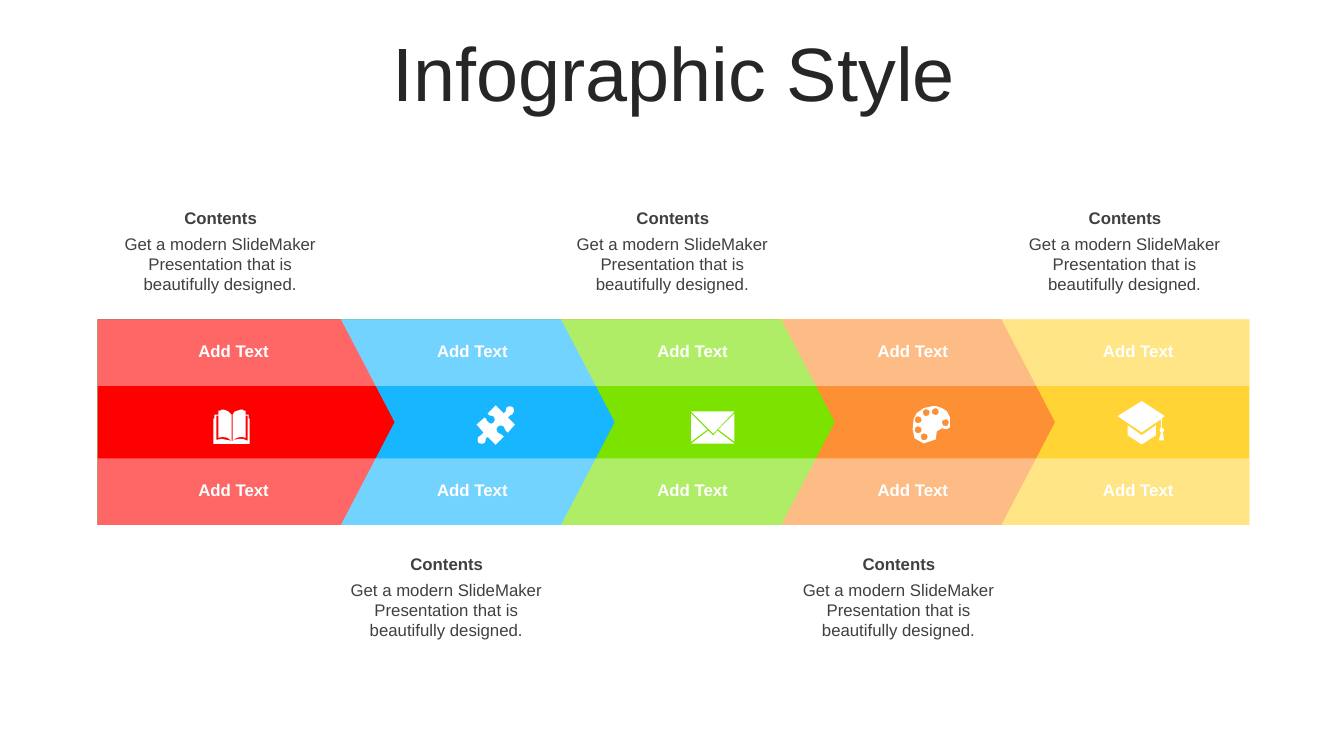
import math

from pptx import Presentation
from pptx.dml.color import RGBColor
from pptx.enum.shapes import MSO_SHAPE
from pptx.enum.text import MSO_ANCHOR, MSO_AUTO_SIZE, PP_ALIGN
from pptx.oxml.xmlchemy import OxmlElement
from pptx.util import Pt

PENTAGON, RECT = MSO_SHAPE.PENTAGON, MSO_SHAPE.RECTANGLE
CENTER, MIDDLE = PP_ALIGN.CENTER, MSO_ANCHOR.MIDDLE
GROW, NO_FIT = MSO_AUTO_SIZE.SHAPE_TO_FIT_TEXT, MSO_AUTO_SIZE.NONE

FONT = "Arial"
WHITE = RGBColor(0xFF, 0xFF, 0xFF)
TITLE_INK = RGBColor(0x26, 0x26, 0x26)
TEXT_INK = RGBColor(0x40, 0x40, 0x40)
RED = RGBColor(0xFF, 0x00, 0x00)
BLUE = RGBColor(0x17, 0xB6, 0xFF)
GREEN = RGBColor(0x7C, 0xE2, 0x00)
ORANGE = RGBColor(0xFD, 0x90, 0x34)
YELLOW = RGBColor(0xFF, 0xD4, 0x34)

CAPTION = "Get a modern SlideMaker Presentation that is beautifully designed."
ICON_UNIT = Pt(0.72)


def circle(cx, cy, radius=3.5, steps=8):
    angles = [2 * math.pi * i / steps for i in range(steps)]
    return [(cx + radius * math.cos(a), cy + radius * math.sin(a)) for a in angles]


# Icon outlines in ICON_UNIT: pairs are corners, sextuples are Bezier curves
BOOK = [[
    (18, 31), (19, 31), (25, 29, 28, 28, 34, 31), (34, 6), (32, 6), (32, 28),
    (28, 26, 23, 28, 19, 31), (19, 5), (21, 2, 24, 0, 27, 0), (29, 0, 30, 1, 32, 1),
    (32, 5), (35, 5), (35, 9), (36, 9), (36, 34), (0, 34), (0, 9), (1, 9), (1, 5),
    (5, 5), (5, 1), (7, 1, 8, 0, 10, 0), (13, 0, 15, 2, 18, 5), (18, 31),
    (14, 28, 9, 26, 5, 28), (5, 6), (3, 6), (3, 30), (9, 28, 12, 30, 18, 31),
]]
PUZZLE = [[
    (36, 2), (38, 3, 38, 6, 36, 8), (35, 10, 33, 9, 31, 12), (38, 19), (31, 27),
    (28, 25, 29, 23, 27, 21), (25, 20, 22, 20, 21, 21), (20, 23, 19, 25, 21, 27),
    (24, 29, 25, 28, 27, 31), (19, 39), (11, 31), (8, 33, 10, 34, 8, 37),
    (6, 38, 3, 38, 2, 37), (0, 35, 0, 33, 2, 31), (3, 29, 6, 30, 7, 27), (0, 19),
    (8, 12), (11, 13, 9, 16, 12, 17), (13, 19, 16, 19, 17, 17),
    (18, 16, 19, 13, 17, 11), (15, 9, 14, 11, 11, 8), (19, 0), (27, 8),
    (30, 6, 28, 5, 30, 2), (32, 0, 35, 1, 36, 2),
]]
ENVELOPE = [
    [(26, 19), (43, 32), (0, 32), (17, 19), (21.5, 24)],
    [(43, 2), (43, 30.5), (27, 18)],
    [(0, 2), (16, 18), (0, 30.5)],
    [(0, 0), (43, 0), (21.5, 22)],
]
PALETTE = [
    [(21, 0), (24, 0), (30, 0, 36, 5, 38, 11), (41, 25, 34, 24, 30, 22),
     (19, 19, 33, 38, 12, 37), (0, 36, -1, 22, 2, 13), (4, 6, 10, 0, 21, 0)],
    circle(12.5, 30.5), circle(6.5, 23.5), circle(33.5, 16.5),
    circle(6.5, 13.5), circle(14.5, 6.5), circle(23.5, 5.5),
]
CAP = [
    [(10, 24), (24, 34), (38, 24), (38, 34), (24, 43), (10, 34)],
    [(24, 0), (47, 15), (44, 17), (44, 27), (45, 27, 46, 28, 46, 29),
     (46, 30, 45, 30, 45, 31), (46, 39), (41, 39), (43, 31),
     (42, 30, 42, 30, 42, 29), (42, 28, 42, 27, 43, 27), (43, 18), (24, 31), (0, 15)],
]

# Colour, label centre, icon outline, icon left and top, all from the band's corner
STEPS = [
    (RED, 97.2, BOOK, 82.8, 64.4),
    (BLUE, 267.8, PUZZLE, 270.7, 61.4),
    (GREEN, 425.1, ENVELOPE, 424, 65.7),
    (ORANGE, 582.4, PALETTE, 581.5, 61.9),
    (YELLOW, 743.4, CAP, 728.6, 58.3),
]


def flatten(contour, pieces=3):
    """Turn corners and Bezier curves into a list of points."""
    points = []
    for item in contour:
        if len(item) == 2:
            points.append(item)
            continue
        x0, y0 = points[-1]
        x1, y1, x2, y2, x3, y3 = item
        for i in range(1, pieces + 1):
            t = i / pieces
            a, b, c, d = (1 - t) ** 3, 3 * t * (1 - t) ** 2, 3 * t * t * (1 - t), t ** 3
            points.append((a * x0 + b * x1 + c * x2 + d * x3,
                           a * y0 + b * y1 + c * y2 + d * y3))
    return points


def paint(sp, color, alpha=None):
    sp.shadow.inherit = False
    sp.fill.solid()
    sp.fill.fore_color.rgb = color
    sp.line.fill.background()
    if alpha is not None:
        node = OxmlElement("a:alpha")
        node.set("val", str(alpha * 1000))
        sp.fill._xPr.find(".//{*}srgbClr").append(node)


def write(tf, text, size, color, bold=False):
    tf.word_wrap = True
    p = tf.paragraphs[0]
    p.alignment = CENTER
    r = p.add_run()
    r.text = text
    r.font.name, r.font.size, r.font.bold = FONT, Pt(size), bold
    r.font.color.rgb = color
    return p


def add_text(shapes, text, x, y, w, h, color, bold=False, inset=None):
    tf = shapes.add_textbox(Pt(x), Pt(y), Pt(w), Pt(h)).text_frame
    if inset is not None:
        tf.margin_left = tf.margin_right = tf.margin_top = tf.margin_bottom = Pt(inset)
    write(tf, text, 12, color, bold)
    tf.auto_size = GROW


def add_title(s, x, y, w, h):
    sp = s.shapes.title
    sp.left, sp.top, sp.width, sp.height = Pt(x), Pt(y), Pt(w), Pt(h)
    tf = sp.text_frame
    p = write(tf, "Infographic Style", 54, TITLE_INK)
    p.line_spacing = 0.9
    tf.vertical_anchor = MIDDLE
    tf.auto_size = NO_FIT


def add_icon(s, contours, x, y):
    builder = None
    for contour in contours:
        start, *rest = flatten(contour)
        if builder is None:
            builder = s.shapes.build_freeform(*start, scale=ICON_UNIT)
        else:
            builder.move_to(*start)
        builder.add_line_segments(rest, close=True)
    paint(builder.convert_to_shape(Pt(x), Pt(y)), WHITE)


def add_arrow_band(s, x, y, w, h):
    first_w, pitch, strip_h, label_w = 212.1, 157.25, 47.5, 113

    # Arrows overlap: the longest lies at the back
    for i, (color, *_) in reversed(list(enumerate(STEPS))):
        last = i == len(STEPS) - 1
        arrow_w = w if last else first_w + i * pitch
        sp = s.shapes.add_shape(PENTAGON, Pt(x), Pt(y), Pt(arrow_w), Pt(h))
        sp.adjustments[0] = 0 if last else 0.261
        paint(sp, color)

    # Translucent strips with their labels
    for strip_y in (y, y + h - strip_h):
        sp = s.shapes.add_shape(RECT, Pt(x), Pt(strip_y), Pt(w), Pt(strip_h))
        paint(sp, WHITE, alpha=40)
        for _, label_x, *_ in STEPS:
            add_text(s.shapes, "Add Text", x + label_x - label_w / 2, strip_y + 11.9,
                     label_w, 21.8, WHITE, bold=True)

    # Icons in the middle strip
    for _, _, icon, icon_x, icon_y in STEPS:
        add_icon(s, icon, x + icon_x, y + icon_y)


def add_caption(s, x, y, w):
    shapes = s.shapes.add_group_shape().shapes
    add_text(shapes, CAPTION, x, y + 18.5, w, 43.6, TEXT_INK, inset=0)
    add_text(shapes, "Contents", x + 0.3, y, w, 14.5, TEXT_INK, bold=True, inset=0)


def main():
    prs = Presentation()
    prs.slide_width, prs.slide_height = Pt(960), Pt(540)
    s = prs.slides.add_slide(prs.slide_layouts[5])
    add_title(s, 25.5, 26.6, 911.5, 56.9)
    add_arrow_band(s, 69.7, 228.2, 822.7, 146.7)
    # Captions alternate above and below the band
    for i in range(len(STEPS)):
        add_caption(s, 77.8 + i * 161.5, 395.3 if i % 2 else 148.3, 159)
    prs.save("out.pptx")


if __name__ == "__main__":
    main()
